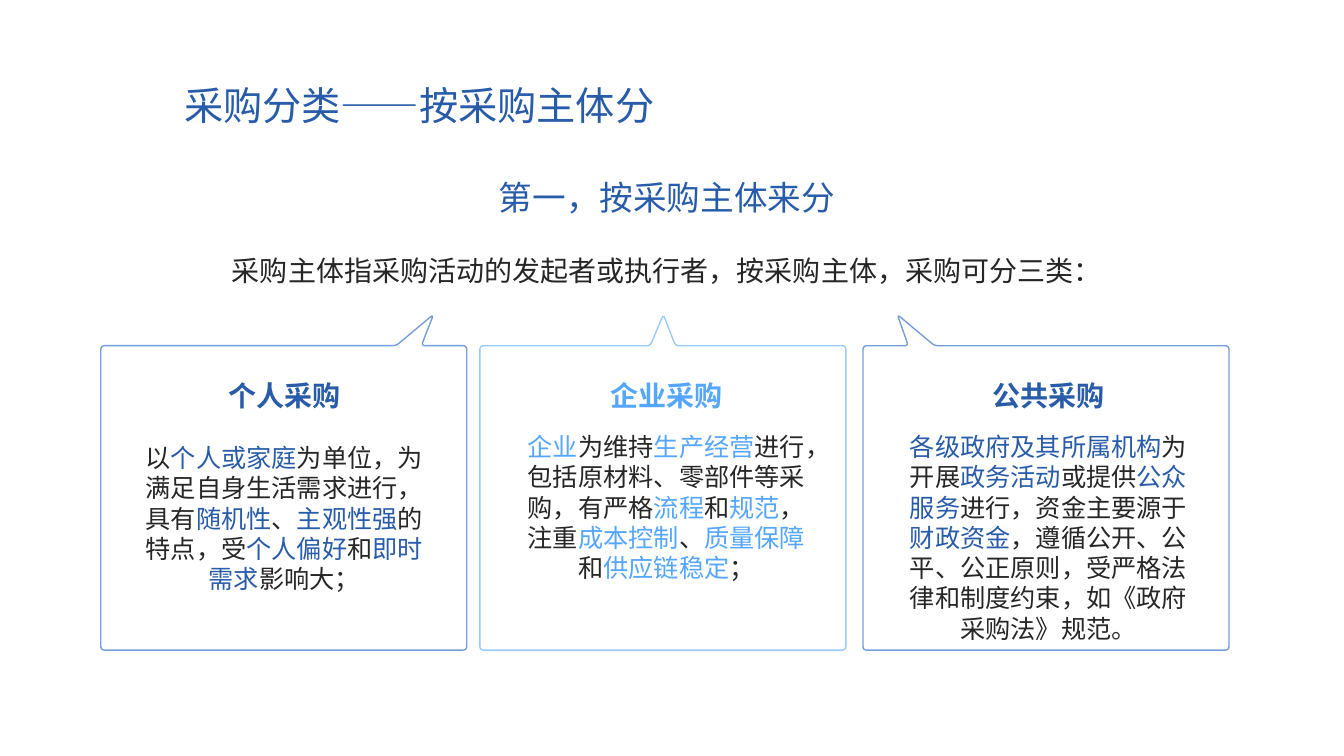
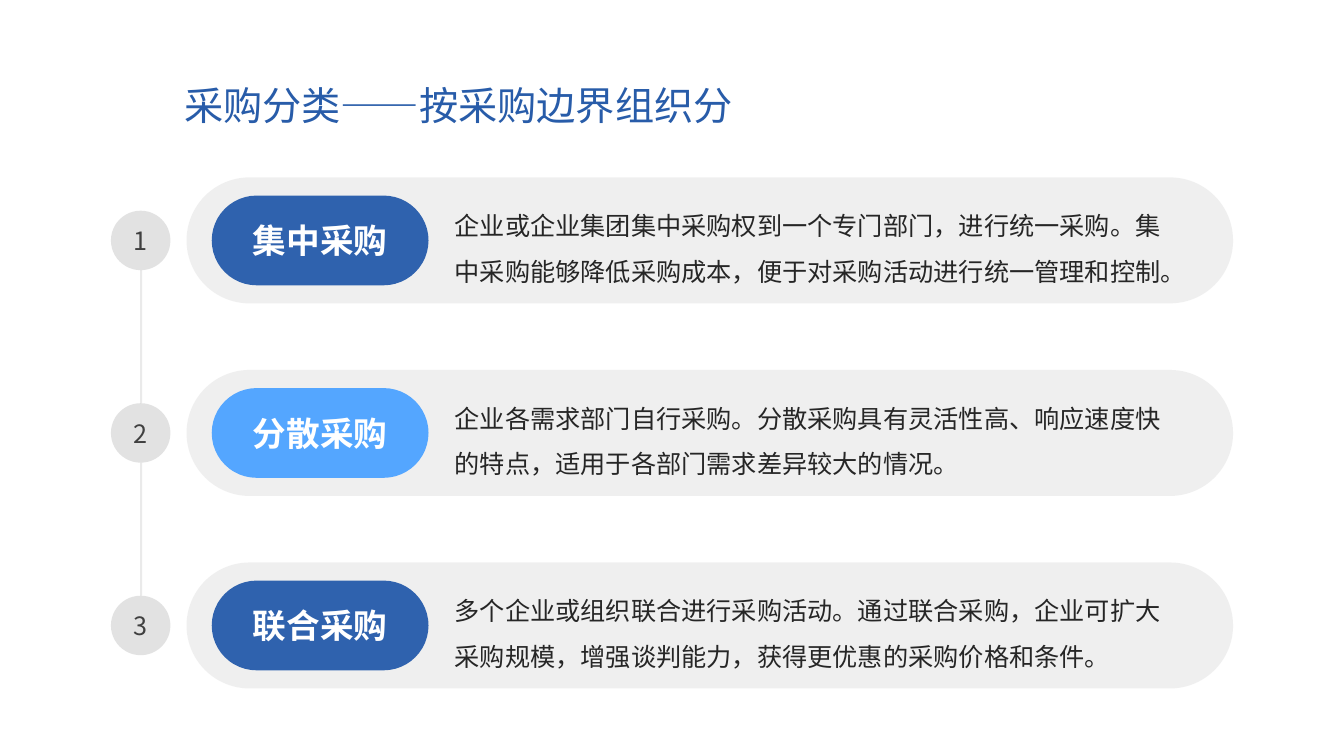
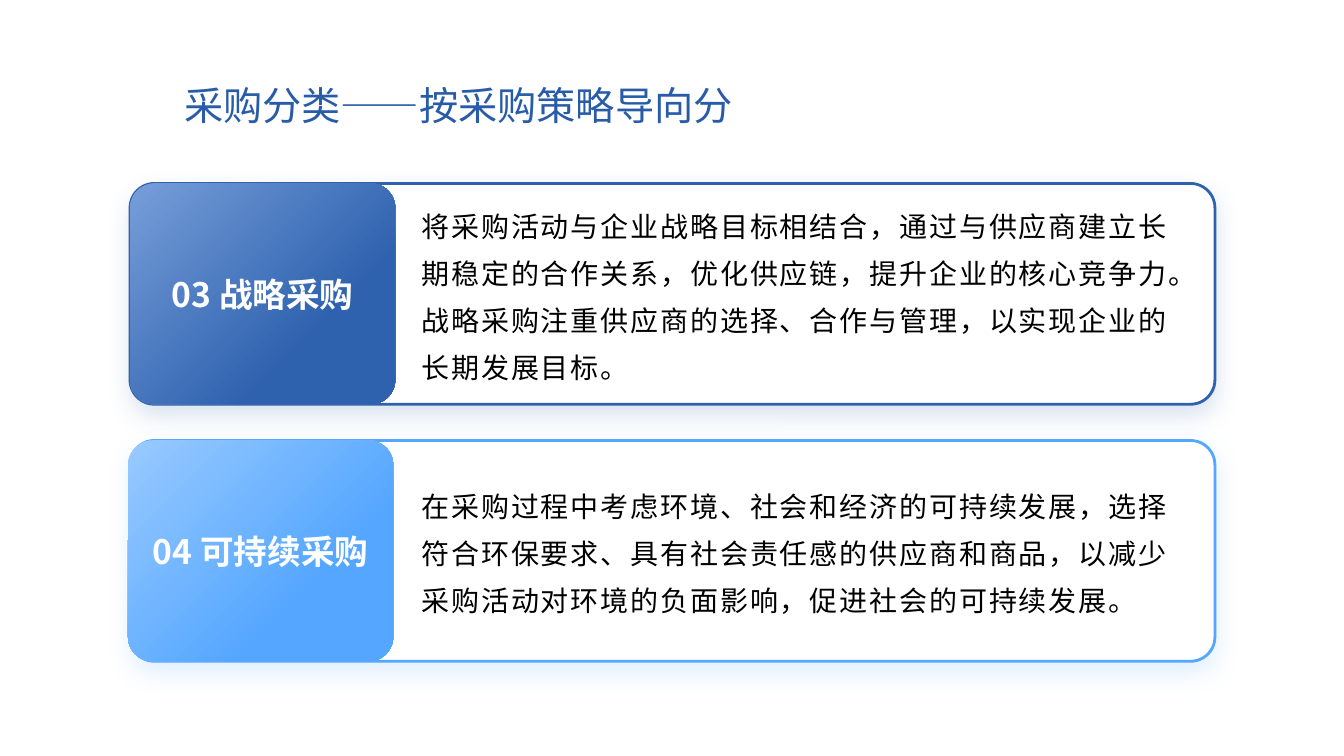
import math

import lxml.etree
import pptx
import pptx.dml.color
import pptx.enum.lang
import pptx.enum.shapes
import pptx.enum.text
import pptx.oxml.ns
import pptx.util

Inches = pptx.util.Inches
Pt = pptx.util.Pt
RGB = pptx.dml.color.RGBColor
KIND = pptx.enum.shapes.MSO_SHAPE
ALIGN = pptx.enum.text.PP_ALIGN
ANCHOR = pptx.enum.text.MSO_ANCHOR
qn = pptx.oxml.ns.qn

# Shared look
NAVY = RGB(0x28, 0x5C, 0xA9)
BLUE = RGB(0x2F, 0x62, 0xAE)
SKY = RGB(0x54, 0xA6, 0xFF)
STEEL = RGB(0x76, 0x9E, 0xDA)
PALE = RGB(0x98, 0xCA, 0xFF)
INK = RGB(0x26, 0x26, 0x26)
GRAY = RGB(0x99, 0x99, 0x99)
DARK = RGB(0x40, 0x40, 0x40)
BLACK = RGB(0, 0, 0)
WHITE = RGB(0xFF, 0xFF, 0xFF)
HEAD = "Noto Sans CJK SC"
BODY = "Noto Sans CJK JP"


def add_run(para, text, size, color, font=BODY, bold=False, track=0):
    run = para.add_run()
    run.text = text
    run.font.size = Pt(size)
    run.font.bold = bold
    run.font.color.rgb = color
    run.font.name = font
    run.font.language_id = pptx.enum.lang.MSO_LANGUAGE_ID.SIMPLIFIED_CHINESE
    props = run._r.get_or_add_rPr()
    lxml.etree.SubElement(props, qn("a:ea")).set("typeface", font)
    if track:
        props.set("spc", str(track))


def set_frame(frame, side=0, base=0, anchor=ANCHOR.TOP, wrap=True):
    frame.word_wrap = wrap
    frame.vertical_anchor = anchor
    frame.margin_left = frame.margin_right = Inches(side)
    frame.margin_top = 0
    frame.margin_bottom = Inches(base)
    return frame.paragraphs[0]


def add_text(slide, box, runs, size, font=BODY, bold=False, track=0,
             align=ALIGN.LEFT, space=None, **frame):
    """Text box of one paragraph; runs are (text, color) pairs."""
    shape = slide.shapes.add_textbox(*map(Inches, box))
    para = set_frame(shape.text_frame, **frame)
    para.alignment = align
    if space:
        para.line_spacing = space
    for text, color in runs:
        add_run(para, text, size, color, font, bold, track)


def add_label(shape, text, size, color, bold=False, **frame):
    para = set_frame(shape.text_frame, anchor=ANCHOR.MIDDLE, **frame)
    para.alignment = ALIGN.CENTER
    add_run(para, text, size, color, bold=bold)


def set_alpha(shape, share):
    color = next(shape.element.spPr.iter(qn("a:srgbClr")))
    lxml.etree.SubElement(color, qn("a:alpha")).set("val", str(share * 1000))


def add_shape(slide, kind, box, fill=None, alpha=None, round_by=None):
    shape = slide.shapes.add_shape(kind, *map(Inches, box))
    shape.shadow.inherit = False
    shape.line.fill.background()
    if round_by is not None:
        shape.adjustments[0] = round_by
    if fill is not None:
        shape.fill.solid()
        shape.fill.fore_color.rgb = fill
    if alpha:
        set_alpha(shape, alpha)
    return shape


def add_link(slide, x, top, end):
    link = slide.shapes.add_connector(
        pptx.enum.shapes.MSO_CONNECTOR.STRAIGHT, *map(Inches, (x, top, x, end)))
    link.line.width = Pt(1.5)
    link.line.color.rgb = GRAY
    set_alpha(link, 20)
    lxml.etree.SubElement(link.element.spPr, qn("a:effectLst"))


def add_glow(shape, color):
    """Soft shadow below the shape."""
    effects = shape.element.spPr.find(qn("a:effectLst"))
    outer = lxml.etree.SubElement(effects, qn("a:outerShdw"))
    for key, val in (("blurRad", Pt(16)), ("dist", Pt(6)), ("dir", 5400000),
                     ("algn", "t"), ("rotWithShape", 0)):
        outer.set(key, str(val))
    tint = lxml.etree.SubElement(outer, qn("a:srgbClr"))
    tint.set("val", str(color))
    lxml.etree.SubElement(tint, qn("a:alpha")).set("val", "16000")


def soften(points, cut):
    """Round each corner of an outline with a short curve."""
    result = []
    for i, (x, y) in enumerate(points):
        ends = []
        for u, v in (points[i - 1], points[(i + 1) % len(points)]):
            part = cut / math.hypot(u - x, v - y)
            ends.append((x + (u - x) * part, y + (v - y) * part))
        (ax, ay), (bx, by) = ends
        for step in range(6):
            t = step / 5
            result.append(((1 - t) ** 2 * ax + 2 * t * (1 - t) * x + t * t * bx,
                           (1 - t) ** 2 * ay + 2 * t * (1 - t) * y + t * t * by))
    return result


def add_bubble(slide, left, beak, color):
    """Outlined panel; beak gives the x of its start, tip and end."""
    top, base, tip, right = 3.43, 6.45, 3.12, left + 3.63
    start, peak, end = beak
    outline = soften([(left, top), (start, top), (peak, tip), (end, top),
                      (right, top), (right, base), (left, base)], 0.04)
    points = [(Inches(x), Inches(y)) for x, y in outline]
    build = slide.shapes.build_freeform(*points[0])
    build.add_line_segments(points[1:], close=True)
    shape = build.convert_to_shape()
    shape.shadow.inherit = False
    shape.fill.background()
    shape.line.color.rgb = color
    shape.line.width = Pt(1)


def start_slide(deck, title):
    slide = deck.slides.add_slide(deck.slide_layouts[6])
    add_text(slide, (1.73, 0.72, 7.49, 0.64), [(title, NAVY)], 28, HEAD,
             side=0.1, anchor=ANCHOR.MIDDLE)
    return slide


def add_buyers(deck):
    slide = start_slide(deck, "采购分类——按采购主体分")
    add_text(slide, (1, 1.76, 11.23, 0.64), [("第一，按采购主体来分", NAVY)],
             24, HEAD, align=ALIGN.CENTER)
    add_text(slide, (1, 2.38, 11.23, 0.45),
             [("采购主体指采购活动的发起者或执行者，按采购主体，采购可分三类：", INK)],
             20, align=ALIGN.CENTER, space=1.4)

    # Panels: left, beak, line, accent, text top, name, text with |accents|
    panels = [
        (1, (3.93, 4.3, 4.18), STEEL, NAVY, 4.39, "个人采购",
         "以|个人或家庭|为单位，为满足自身生活需求进行，具有|随机性|、|主观性强|"
         "的特点，受|个人偏好|和|即时需求|影响大；"),
        (4.76, (6.45, 6.58, 6.7), PALE, SKY, 4.28, "企业采购",
         "|企业|为维持|生产经营|进行，包括原材料、零部件等采购，有严格|流程|和|规范|"
         "，注重|成本控制|、|质量保障|和|供应链稳定|；"),
        (8.56, (9.01, 8.9, 9.27), STEEL, NAVY, 4.28, "公共采购",
         "|各级政府及其所属机构|为开展|政务活动|或提供|公众服务|进行，资金主要源于|"
         "财政资金|，遵循公开、公平、公正原则，受严格法律和制度约束，"
         "如《政府采购法》规范。"),
    ]
    for i, (left, beak, line, accent, top, name, text) in enumerate(panels):
        add_bubble(slide, left, beak, line)
        x = 1.34 + 3.79 * i
        add_text(slide, (x, 3.76, 2.96, 0.66), [(name, accent)], 20, HEAD,
                 bold=True, align=ALIGN.CENTER)
        runs = [(part, accent if n % 2 else INK)
                for n, part in enumerate(text.split("|")) if part]
        add_text(slide, (x, top, 2.96, 0.97), runs, 18, align=ALIGN.CENTER)


def add_scopes(deck):
    slide = start_slide(deck, "采购分类——按采购边界组织分")
    rows = [
        ("集中采购", BLUE, "企业或企业集团集中采购权到一个专门部门，进行统一采购。"
         "集中采购能够降低采购成本，便于对采购活动进行统一管理和控制。"),
        ("分散采购", SKY, "企业各需求部门自行采购。分散采购具有灵活性高、"
         "响应速度快的特点，适用于各部门需求差异较大的情况。"),
        ("联合采购", BLUE, "多个企业或组织联合进行采购活动。通过联合采购，"
         "企业可扩大采购规模，增强谈判能力，获得更优惠的采购价格和条件。"),
    ]
    step, dot = 1.91, 0.59
    for i, (name, color, text) in enumerate(rows):
        top = 1.76 + step * i
        mark = top + 0.33
        add_shape(slide, KIND.ROUNDED_RECTANGLE, (1.85, top, 10.38, 1.25),
                  GRAY, 15, 0.5)
        pill = add_shape(slide, KIND.ROUNDED_RECTANGLE,
                         (2.1, top + 0.18, 2.15, 0.89), color, round_by=0.5)
        add_label(pill, name, 24, WHITE, True)
        add_text(slide, (4.51, top + 0.1, 7.1, 1.06), [(text, INK)], 18,
                 space=1.5, anchor=ANCHOR.MIDDLE)
        disc = add_shape(slide, KIND.OVAL, (1.1, mark, dot, dot), DARK, 15)
        add_label(disc, str(i + 1), 18, DARK, wrap=False)
        if i < len(rows) - 1:
            add_link(slide, 1.4, mark + dot, mark + step)


def add_plans(deck):
    slide = start_slide(deck, "采购分类——按采购策略导向分")
    cards = [
        (1.82, 1.29, "03 战略采购", STEEL, BLUE,
         "将采购活动与企业战略目标相结合，通过与供应商建立长期稳定的合作关系，"
         "优化供应链，提升企业的核心竞争力。战略采购注重供应商的选择、合作与管理，"
         "以实现企业的长期发展目标。"),
        (4.37, 1.27, "04 可持续采购", PALE, SKY,
         "在采购过程中考虑环境、社会和经济的可持续发展，选择符合环保要求、"
         "具有社会责任感的供应商和商品，以减少采购活动对环境的负面影响，"
         "促进社会的可持续发展。"),
    ]
    for top, left, name, light, color, text in cards:
        card = add_shape(slide, KIND.ROUNDED_RECTANGLE, (1.29, top, 10.76, 2.19),
                         WHITE, round_by=0.11)
        card.line.color.rgb = color
        card.line.width = Pt(2)
        add_glow(card, color)
        add_text(slide, (4.18, top + 0.29, 7.64, 1.61), [(text, BLACK)], 20,
                 track=130, space=1.4, base=0.08, anchor=ANCHOR.MIDDLE)
        tab = add_shape(slide, KIND.ROUNDED_RECTANGLE, (left, top, 2.63, 2.19),
                        round_by=0.11)
        tab.fill.gradient()
        tab.fill.gradient_angle = 315
        for stop, tint, spot in zip(tab.fill.gradient_stops, (light, color), (0, 0.69)):
            stop.color.rgb = tint
            stop.position = spot
        add_label(tab, name, 24, WHITE, True, side=0.1)


def main():
    deck = pptx.Presentation()
    deck.slide_width = Inches(13.33)
    deck.slide_height = Inches(7.5)
    add_buyers(deck)
    add_scopes(deck)
    add_plans(deck)
    deck.save("out.pptx")


if __name__ == "__main__":
    main()
